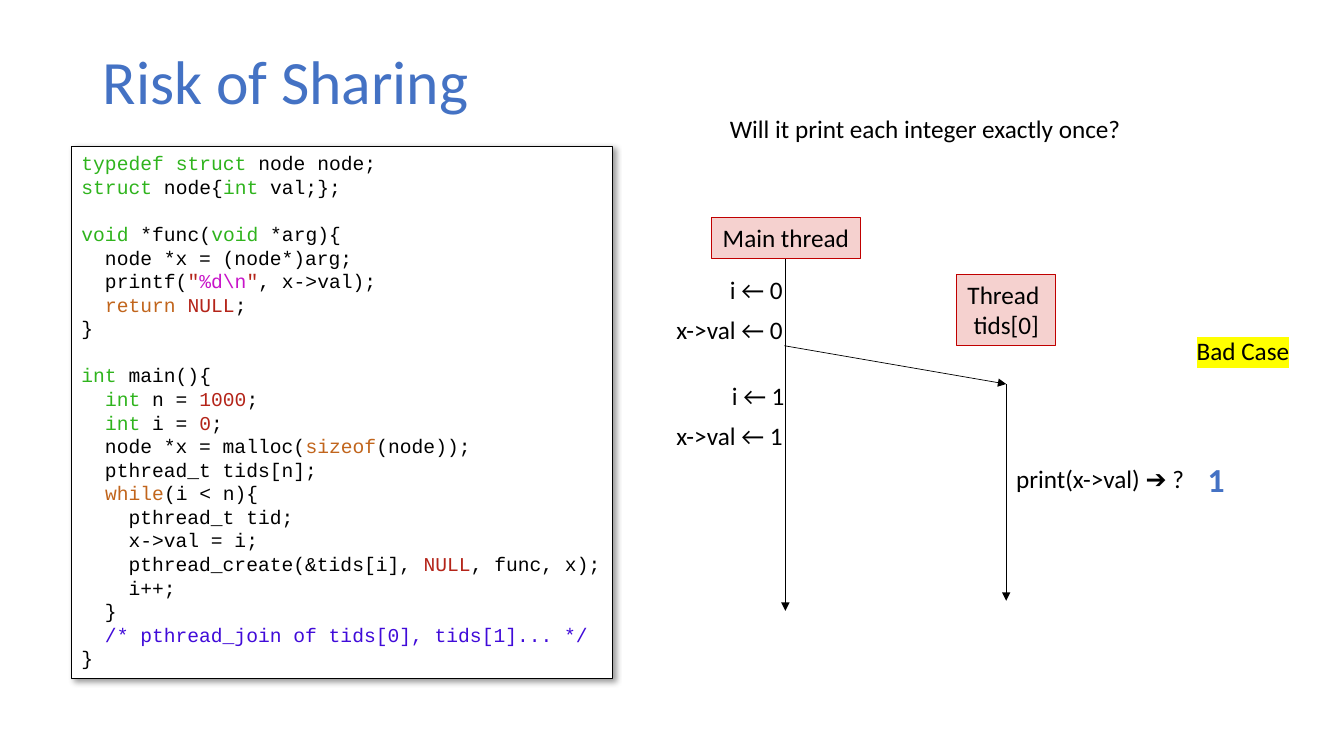
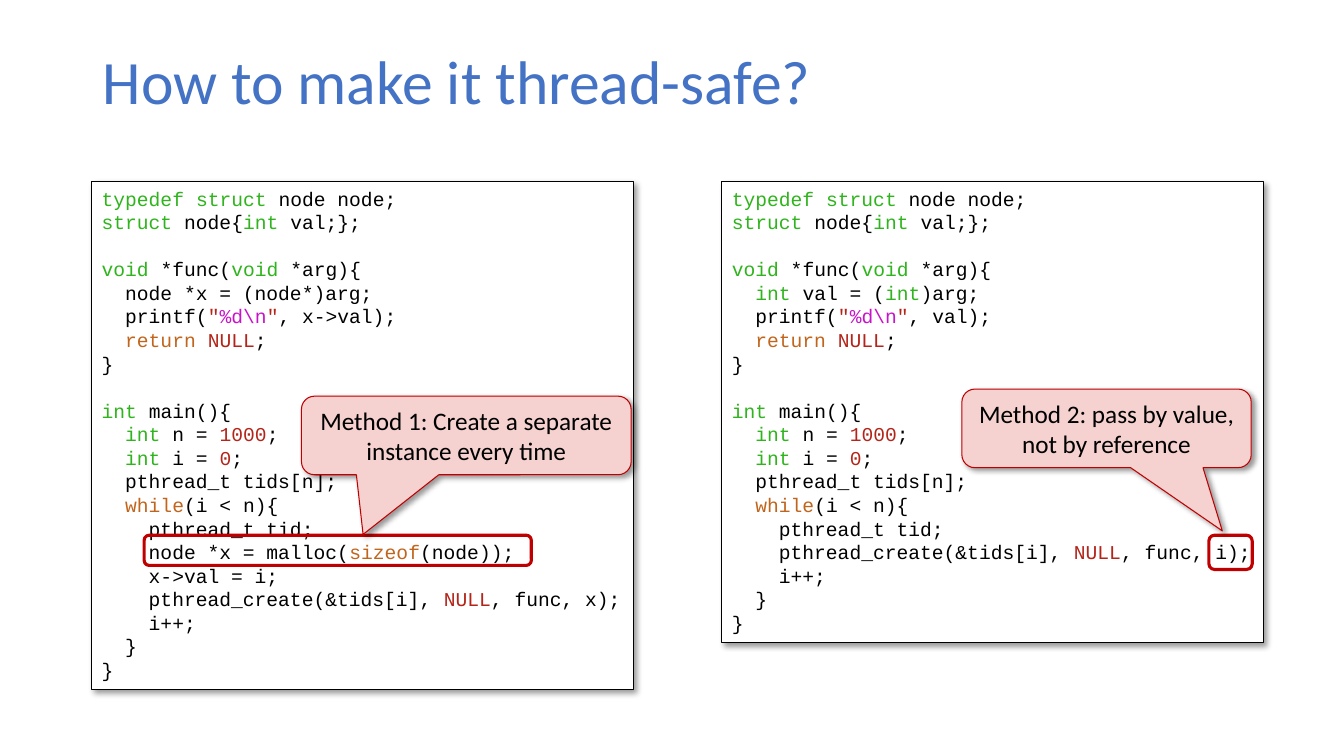
from itertools import groupby

from lxml import etree
from pptx import Presentation
from pptx.dml.color import RGBColor
from pptx.enum.shapes import MSO_CONNECTOR, MSO_SHAPE
from pptx.enum.text import MSO_ANCHOR, PP_ALIGN
from pptx.oxml.ns import qn
from pptx.util import Inches, Pt


class Theme:
    sans, mono = "Calibri", "Courier New"
    title_size, result_size, body_size, code_size = 44, 24, 18, 14
    accent, ink, paper = "4472C4", "000000", "FFFFFF"
    red, pink, marker = "C00000", "F5D1CF", "FFFF00"
    # Syntax colours
    kind, flow, constant = "2FB41D", "C1651C", "B42419"
    format_text, comment = "C814C9", "400BD9"
    code_pitch, code_padding = 0.234, 0.13


SYNTAX = {
    **dict.fromkeys(["typedef", "struct", "void", "int"], Theme.kind),
    **dict.fromkeys(["return", "while", "sizeof"], Theme.flow),
    "NULL": Theme.constant,
}


# Content: the three versions of the program
def program(func_body, setup, loop, closing=()):
    return [
        "typedef struct node node;", "struct node{int val;};", "",
        "void *func(void *arg){", *func_body, "  return NULL;", "}", "",
        "int main(){", "  int n = 1000;", "  int i = 0;", *setup,
        "  pthread_t tids[n];", "  while(i < n){", "    pthread_t tid;",
        *loop, "    i++;", "  }", *closing, "}",
    ]


READ_NODE = ["  node *x = (node*)arg;", r'  printf("%d\n", x->val);']
SET_NODE = ["    x->val = i;", "    pthread_create(&tids[i], NULL, func, x);"]
SHARED = program(READ_NODE, ["  node *x = malloc(sizeof(node));"], SET_NODE,
                 ["  /* pthread_join of tids[0], tids[1]... */"])
SEPARATE = program(READ_NODE, [],
                   ["    node *x = malloc(sizeof(node));", *SET_NODE])
BY_VALUE = program(["  int val = (int)arg;", r'  printf("%d\n", val);'], [],
                   ["    pthread_create(&tids[i], NULL, func, i);"])

# Content: the thread timeline, as (text, left, top, width)
LABELS = [
    ("Will it print each integer exactly once?", 7.14, 1.08, 4.13),
    ("i ← 0", 7.14, 2.67, 0.75),
    ("x->val ← 0", 6.61, 3.07, 1.29),
    ("i ← 1", 7.16, 3.72, 0.75),
    ("x->val ← 1", 6.61, 4.12, 1.29),
    ("print(x->val) ➔ ?", 9.98, 4.55, 1.96),
]
THREADS = [
    ("Main thread", (7.06, 2.16, 1.47, 0.4)),
    ("Thread \ntids[0]", (9.49, 2.72, 0.98, 0.71)),
]
ARROWS = [
    (7.79, 2.56, 7.79, 6.06),
    (9.98, 3.81, 9.98, 5.96),
    (7.78, 3.43, 9.98, 3.81),
]

# Content: the two remedies
METHODS = [
    dict(code=SEPARATE, left=0.91, focus=(1.43, 5.31, 3.84, 0.3),
         note="Method 1: Create a separate instance every time",
         callout=(2.99, 3.93, 3.27, 0.78), pointer=(-0.313, 1.259)),
    dict(code=BY_VALUE, left=7.16, focus=(11.99, 5.31, 0.43, 0.34),
         note="Method 2: pass by value, not by reference",
         callout=(9.54, 3.86, 2.87, 0.78), pointer=(0.4, 1.304)),
]


# Text helpers
def rgb(value):
    return RGBColor.from_string(value)


def style(span, size=Theme.body_size, color=Theme.ink, name=Theme.sans,
          bold=False):
    span.font.size = Pt(size)
    span.font.name = name
    span.font.bold = bold
    span.font.color.rgb = rgb(color)


def write(shape, text, align=PP_ALIGN.LEFT, wrap=False,
          anchor=MSO_ANCHOR.TOP, **font):
    frame = shape.text_frame
    frame.text = text
    frame.word_wrap = wrap
    frame.vertical_anchor = anchor
    for para in frame.paragraphs:
        para.alignment = align
        for span in para.runs:
            style(span, **font)


def add_label(page, text, left, top, width, height=0.4, **options):
    box = page.shapes.add_textbox(*map(Inches, (left, top, width, height)))
    write(box, text, **options)
    return box


def highlight(span, color):
    mark = etree.Element(qn("a:highlight"))
    etree.SubElement(mark, qn("a:srgbClr"), val=color)
    span.font.fill  # the text colour precedes the highlight
    span._r.rPr.find(qn("a:solidFill")).addnext(mark)


# Shape helpers
def add_panel(page, preset, place, fill, line, width, shadow=False):
    shape = page.shapes.add_shape(preset, *map(Inches, place))
    if fill:
        shape.fill.solid()
        shape.fill.fore_color.rgb = rgb(fill)
    else:
        shape.fill.background()
    shape.line.color.rgb = rgb(line)
    shape.line.width = Pt(width)
    shape.shadow.inherit = False
    if shadow:
        effects = shape._element.spPr.find(qn("a:effectLst"))
        outer = etree.SubElement(
            effects, qn("a:outerShdw"), blurRad=str(Pt(4)), dist=str(Pt(3)),
            dir="2700000", algn="tl", rotWithShape="0")
        color = etree.SubElement(outer, qn("a:srgbClr"), val=Theme.ink)
        etree.SubElement(color, qn("a:alpha"), val="40000")
    return shape


def add_arrow(page, *ends):
    arrow = page.shapes.add_connector(MSO_CONNECTOR.STRAIGHT,
                                      *map(Inches, ends))
    arrow.line.color.rgb = rgb(Theme.ink)
    arrow.line.width = Pt(0.5)
    properties = arrow._element.spPr
    etree.SubElement(properties.find(qn("a:ln")), qn("a:tailEnd"),
                     type="triangle")
    etree.SubElement(properties, qn("a:effectLst"))


# Code panels
def tokens(line):
    if line.lstrip().startswith("/*"):
        yield line, Theme.comment
        return
    for index, part in enumerate(line.split('"')):
        if index % 2:
            yield '"', Theme.constant
            yield part, Theme.format_text
            yield '"', Theme.constant
            continue
        for _, letters in groupby(part, lambda c: c.isalnum() or c == "_"):
            word = "".join(letters)
            plain = Theme.constant if word.isdigit() else Theme.ink
            yield word, SYNTAX.get(word, plain)


def add_code(page, lines, left, top):
    pitch = Inches(Theme.code_pitch)
    height = len(lines) * Theme.code_pitch + Theme.code_padding
    panel = add_panel(page, MSO_SHAPE.RECTANGLE, (left, top, 5.37, height),
                      Theme.paper, Theme.ink, 0.75, shadow=True)
    frame = panel.text_frame
    frame.word_wrap = False
    frame.vertical_anchor = MSO_ANCHOR.TOP
    for index, line in enumerate(lines):
        if not line:
            continue
        para = frame.add_paragraph() if index else frame.paragraphs[0]
        para.alignment = PP_ALIGN.LEFT
        para.line_spacing = pitch
        if index and not lines[index - 1]:
            para.space_before = pitch
        for color, group in groupby(tokens(line), lambda token: token[1]):
            span = para.add_run()
            span.text = "".join(word for word, _ in group)
            style(span, Theme.code_size, color, Theme.mono)


# Slides
def add_page(deck, title):
    page = deck.slides.add_slide(deck.slide_layouts[6])
    box = add_label(page, title, 0.92, 0.4, 11.5, 0.87, wrap=True,
                    anchor=MSO_ANCHOR.MIDDLE, size=Theme.title_size,
                    color=Theme.accent)
    box.text_frame.paragraphs[0].line_spacing = 0.9
    return page


def add_risk_page(deck):
    page = add_page(deck, "Risk of Sharing")
    add_code(page, SHARED, 0.71, 1.45)
    for ends in ARROWS:
        add_arrow(page, *ends)
    for name, place in THREADS:
        thread = add_panel(page, MSO_SHAPE.RECTANGLE, place, Theme.pink,
                           Theme.red, 0.5)
        write(thread, name, align=PP_ALIGN.CENTER)
    for label in LABELS:
        add_label(page, *label)
    verdict = add_label(page, "Bad Case", 11.77, 3.28, 1.13)
    highlight(verdict.text_frame.paragraphs[0].runs[0], Theme.marker)
    add_label(page, "1", 11.88, 4.5, 0.37, 0.5, size=Theme.result_size,
              color=Theme.accent, bold=True)


def add_remedy_page(deck):
    page = add_page(deck, "How to make it thread-safe?")
    for method in METHODS:
        add_code(page, method["code"], method["left"], 1.8)
        add_panel(page, MSO_SHAPE.ROUNDED_RECTANGLE, method["focus"], None,
                  Theme.red, 2.25)
        callout = add_panel(page, MSO_SHAPE.ROUNDED_RECTANGULAR_CALLOUT,
                            method["callout"], Theme.pink, Theme.red, 0.75,
                            shadow=True)
        callout.adjustments[0], callout.adjustments[1] = method["pointer"]
        write(callout, method["note"], align=PP_ALIGN.CENTER, wrap=True)


def main():
    deck = Presentation()
    deck.slide_width, deck.slide_height = Inches(13.33), Inches(7.5)
    add_risk_page(deck)
    add_remedy_page(deck)
    deck.save("out.pptx")


if __name__ == "__main__":
    main()
